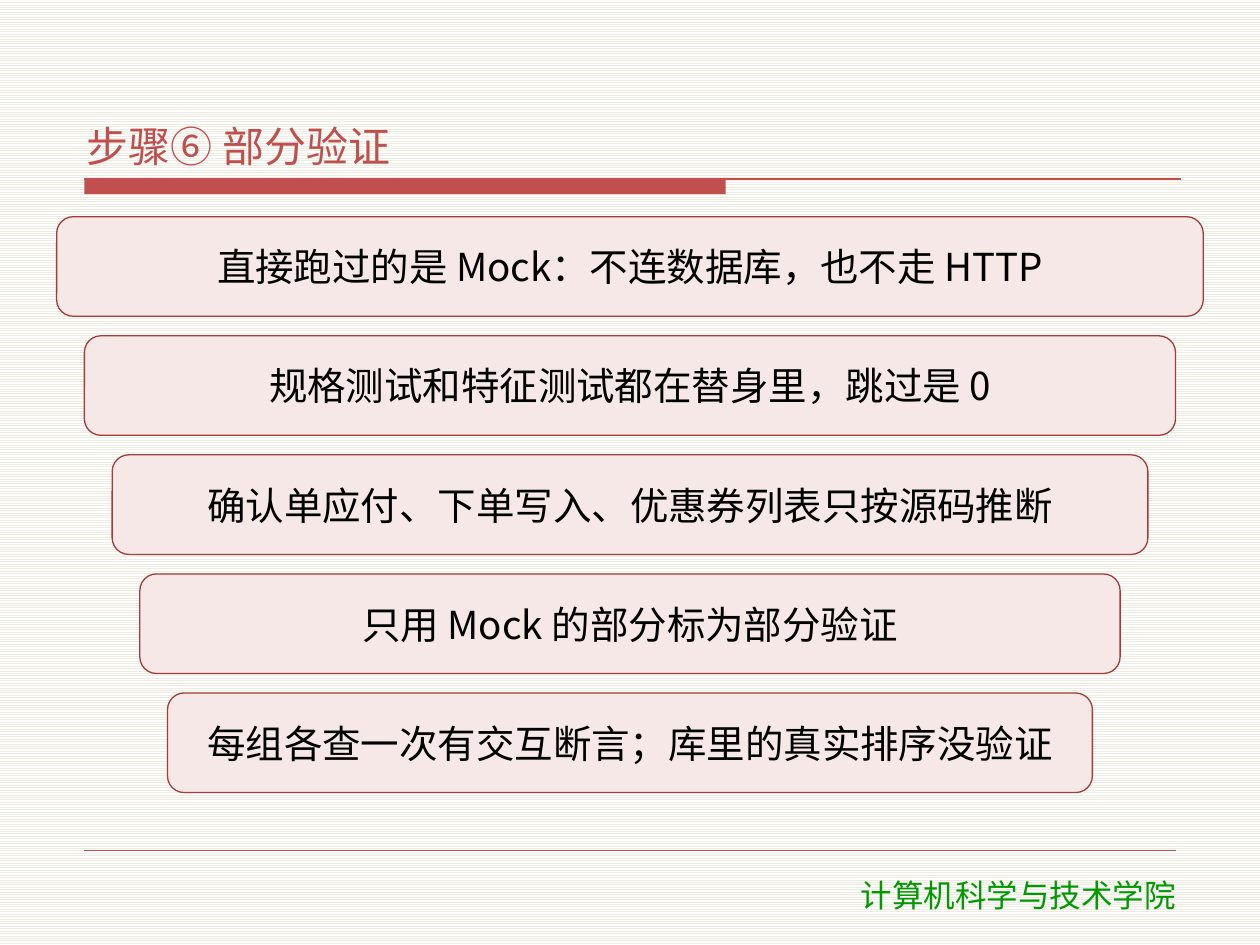
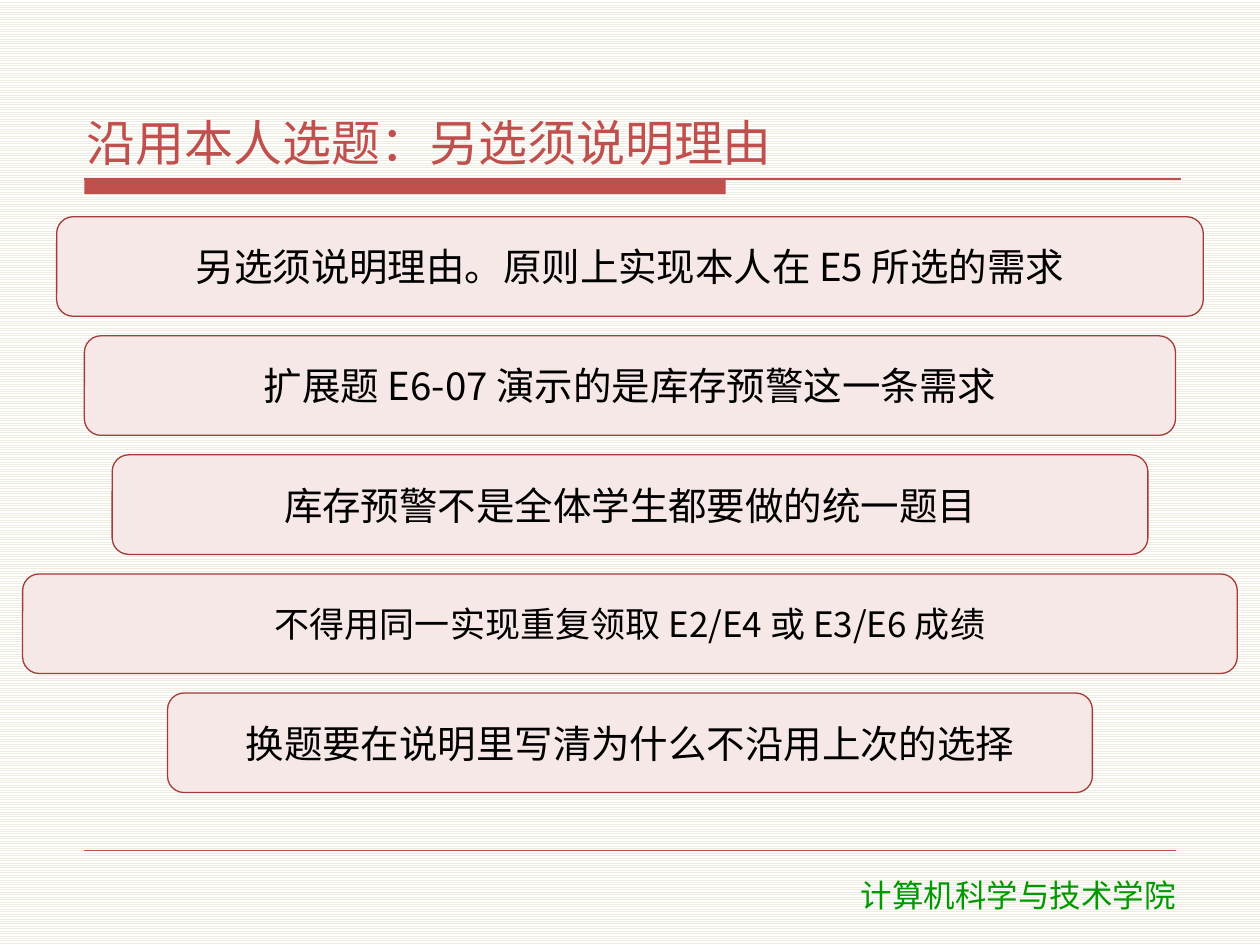
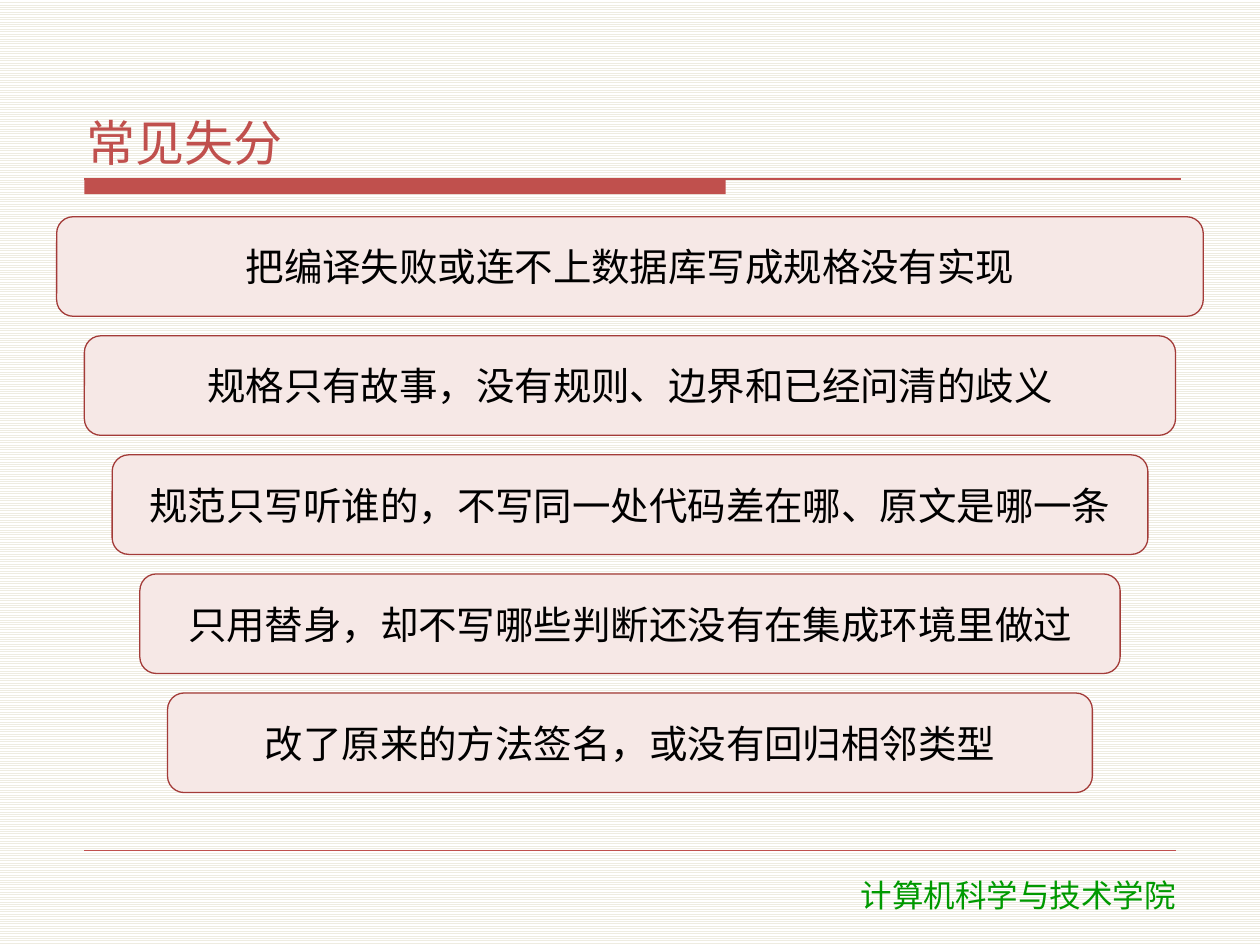
import pptx
import pptx.dml.color
import pptx.enum.dml
import pptx.enum.shapes
import pptx.enum.text
import pptx.oxml.ns
import pptx.util
from lxml import etree

Pt = pptx.util.Pt
RGBColor = pptx.dml.color.RGBColor
ALIGN = pptx.enum.text.PP_ALIGN
ANCHOR = pptx.enum.text.MSO_ANCHOR
SHAPE = pptx.enum.shapes.MSO_SHAPE

# Colours and fonts
RED = RGBColor(0xC0, 0x50, 0x4D)
DARK_RED = RGBColor(0xA3, 0x3B, 0x38)
PALE_RED = RGBColor(0xF6, 0xE8, 0xE6)
GREEN = RGBColor(0x00, 0x99, 0x00)
BLACK = RGBColor(0x00, 0x00, 0x00)
WHITE = RGBColor(0xFF, 0xFF, 0xFF)
CREAM = RGBColor(0xEE, 0xEC, 0xE1)
BODY_FONT = "Noto Sans CJK SC"
FOOTER_FONT = "DejaVu Sans"

# Page geometry in points
PAGE_WIDTH, PAGE_HEIGHT = 720, 540
MARGIN = 48.24
RULE_TOP = 102.24
BAND_TOP, BAND_HEIGHT, BAND_STEP = 123.84, 56.88, 68.04
BAND_LEFT, BAND_INDENT = 32.4, 15.84

FOOTER = "计算机科学与技术学院"

# Each slide: title, title size, bands, and the format of bands that differ
SLIDES = [
    ("步骤⑥ 部分验证", 24, [
        "直接跑过的是 Mock：不连数据库，也不走 HTTP",
        "规格测试和特征测试都在替身里，跳过是 0",
        "确认单应付、下单写入、优惠券列表只按源码推断",
        "只用 Mock 的部分标为部分验证",
        "每组各查一次有交互断言；库里的真实排序没验证",
    ], {}),
    ("沿用本人选题：另选须说明理由", 28, [
        "另选须说明理由。原则上实现本人在 E5 所选的需求",
        "扩展题 E6-07 演示的是库存预警这一条需求",
        "库存预警不是全体学生都要做的统一题目",
        "不得用同一实现重复领取 E2/E4 或 E3/E6 成绩",
        "换题要在说明里写清为什么不沿用上次的选择",
    ], {3: {"left": 12.96, "size": 20, "side_inset": 1.44}}),
    ("常见失分", 28, [
        "把编译失败或连不上数据库写成规格没有实现",
        "规格只有故事，没有规则、边界和已经问清的歧义",
        "规范只写听谁的，不写同一处代码差在哪、原文是哪一条",
        "只用替身，却不写哪些判断还没有在集成环境里做过",
        "改了原来的方法签名，或没有回归相邻类型",
    ], {}),
]


def write_text(shape, text, size=22, font=BODY_FONT, color=BLACK,
               align=ALIGN.CENTER, anchor=ANCHOR.MIDDLE,
               side_inset=4.32, top_inset=1.44, space_after=2):
    """Fill a shape with one formatted paragraph."""
    frame = shape.text_frame
    frame.word_wrap = True
    frame.vertical_anchor = anchor
    frame.margin_left = frame.margin_right = Pt(side_inset)
    frame.margin_top = frame.margin_bottom = Pt(top_inset)
    paragraph = frame.paragraphs[0]
    paragraph.alignment = align
    paragraph.space_after = Pt(space_after)
    run = paragraph.add_run()
    run.text = text
    run.font.size = Pt(size)
    run.font.color.rgb = color
    run.font.name = font
    east_asian = etree.SubElement(run._r.get_or_add_rPr(), pptx.oxml.ns.qn("a:ea"))
    east_asian.set("typeface", font)


class Deck:
    """Holds the presentation, its style and the current slide."""

    def __init__(self):
        self.presentation = pptx.Presentation()
        self.presentation.slide_width = Pt(PAGE_WIDTH)
        self.presentation.slide_height = Pt(PAGE_HEIGHT)
        self.slide = None

    def new_slide(self):
        self.slide = self.presentation.slides.add_slide(self.presentation.slide_layouts[6])
        fill = self.slide.background.fill
        fill.patterned()
        fill.pattern = pptx.enum.dml.MSO_PATTERN.LIGHT_HORIZONTAL
        fill.fore_color.rgb = CREAM
        fill.back_color.rgb = WHITE

    def box(self, kind, left, top, width, height, fill, line=None):
        shape = self.slide.shapes.add_shape(kind, Pt(left), Pt(top), Pt(width), Pt(height))
        shape.shadow.inherit = False
        shape.fill.solid()
        shape.fill.fore_color.rgb = fill
        if line is None:
            shape.line.fill.background()
        else:
            shape.line.color.rgb = line
            shape.line.width = Pt(0.75)
        return shape

    def rule(self, left, right, top, width):
        connector = self.slide.shapes.add_connector(
            pptx.enum.shapes.MSO_CONNECTOR.STRAIGHT, Pt(left), Pt(top), Pt(right), Pt(top))
        connector.line.color.rgb = RED
        connector.line.width = Pt(width)
        etree.SubElement(connector._element.spPr, pptx.oxml.ns.qn("a:effectLst"))

    def text(self, left, top, width, height, text, **text_format):
        shape = self.slide.shapes.add_textbox(Pt(left), Pt(top), Pt(width), Pt(height))
        write_text(shape, text, **text_format)

    def title(self, text, size):
        self.text(45.36, 23.76, 630, 75.6, text, size=size, color=RED,
                  align=ALIGN.LEFT, anchor=ANCHOR.BOTTOM)
        self.box(SHAPE.RECTANGLE, MARGIN, RULE_TOP, 366.48, 8.64, RED)
        self.rule(MARGIN, 674.64, RULE_TOP, 0.75)

    def footer(self):
        self.rule(MARGIN, PAGE_WIDTH - MARGIN, 486, 0.25)
        self.text(437.04, 496.8, 289.44, 28.8, FOOTER, size=18, font=FOOTER_FONT,
                  color=GREEN, anchor=ANCHOR.TOP, side_inset=7.2, top_inset=3.6,
                  space_after=0)

    def band(self, index, text, left=None, **text_format):
        """Draw a centred band, narrower with each row unless left is given."""
        if left is None:
            left = BAND_LEFT + index * BAND_INDENT
        shape = self.box(SHAPE.ROUNDED_RECTANGLE, left, BAND_TOP + index * BAND_STEP,
                         PAGE_WIDTH - 2 * left, BAND_HEIGHT, PALE_RED, DARK_RED)
        write_text(shape, text, **text_format)


def main():
    deck = Deck()
    for title, title_size, bands, band_formats in SLIDES:
        deck.new_slide()
        deck.title(title, title_size)
        deck.footer()
        for index, text in enumerate(bands):
            deck.band(index, text, **band_formats.get(index, {}))
    deck.presentation.save("out.pptx")


if __name__ == "__main__":
    main()
